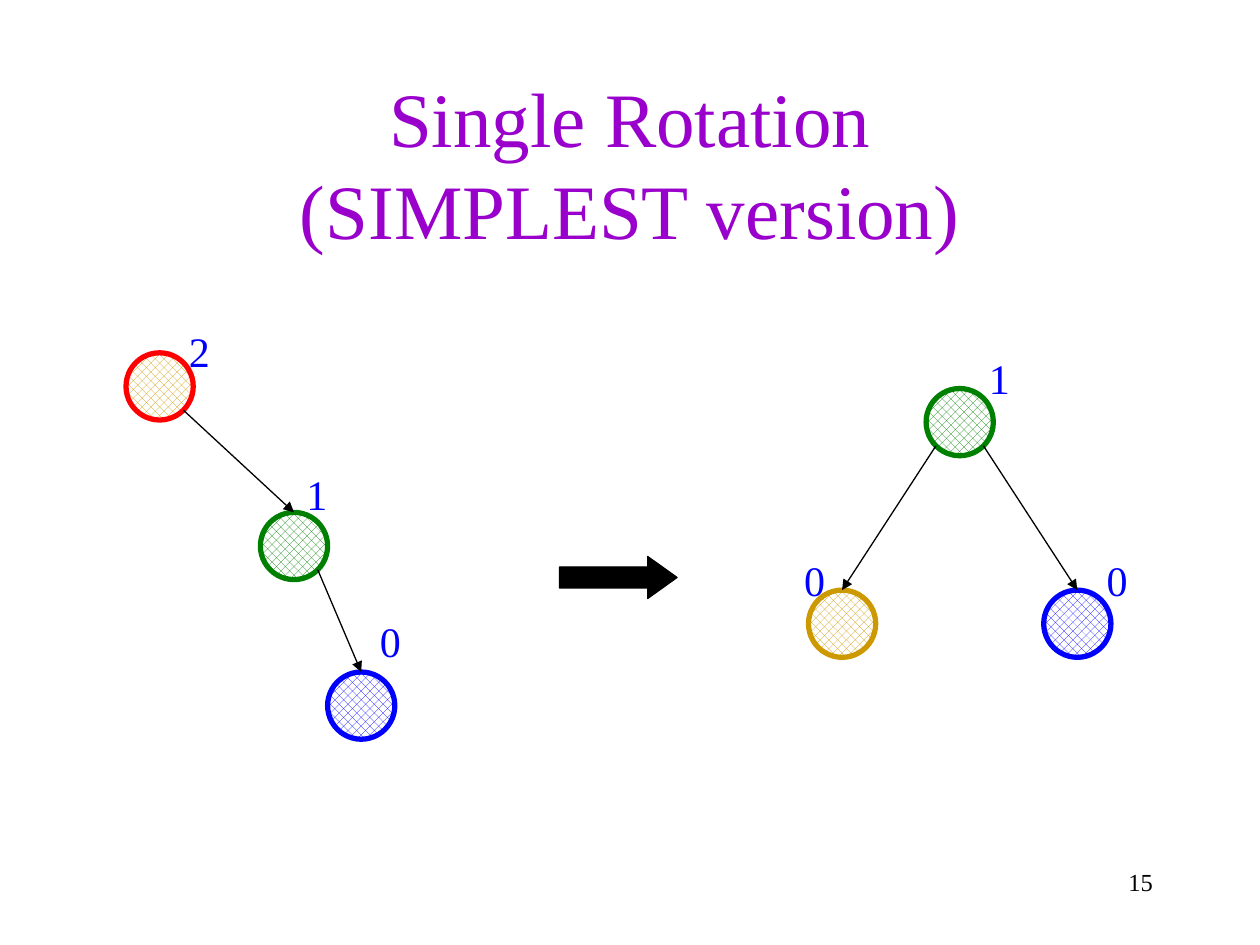
from math import sqrt

from pptx import Presentation
from pptx.dml.color import RGBColor
from pptx.enum.dml import MSO_PATTERN
from pptx.enum.shapes import MSO_CONNECTOR, MSO_SHAPE
from pptx.enum.text import MSO_ANCHOR, MSO_AUTO_SIZE, PP_ALIGN
from pptx.oxml.ns import qn
from pptx.util import Pt

PURPLE = RGBColor(0x99, 0x00, 0xCC)
BLUE = RGBColor(0x00, 0x00, 0xFF)
GREEN = RGBColor(0x00, 0x80, 0x00)
GOLD = RGBColor(0xCC, 0x99, 0x00)
RED = RGBColor(0xFF, 0x00, 0x00)
BLACK = RGBColor(0x00, 0x00, 0x00)
WHITE = RGBColor(0xFF, 0xFF, 0xFF)

FONT = "Times New Roman"
NODE_SIZE = 38.4

UNBALANCED_NODES = [
    (72, 201.6, GOLD, RED),
    (148.8, 292.8, GREEN, GREEN),
    (187.2, 384, BLUE, BLUE),
]
UNBALANCED_EDGES = [(0, 1), (1, 2)]
UNBALANCED_HEIGHTS = [("2", 100.8, 182.4), ("1", 168, 264), ("0", 210, 348.4)]

BALANCED_NODES = [
    (529.2, 222, GREEN, GREEN),
    (462, 337.2, GOLD, GOLD),
    (596.4, 337.2, BLUE, BLUE),
]
BALANCED_EDGES = [(0, 1), (0, 2)]
BALANCED_HEIGHTS = [("1", 558, 198), ("0", 452.4, 313.2), ("0", 625.2, 313.2)]


def write_text(frame, text, size, color, align=PP_ALIGN.LEFT,
               anchor=MSO_ANCHOR.TOP, wrap=True, fit=MSO_AUTO_SIZE.NONE):
    frame.text = text
    frame.word_wrap = wrap
    frame.auto_size = fit
    frame.vertical_anchor = anchor
    paragraph = frame.paragraphs[0]
    paragraph.alignment = align
    for run in paragraph.runs:
        run.font.name = FONT
        run.font.size = Pt(size)
        run.font.color.rgb = color


def add_title(slide, text):
    title = slide.shapes.title
    title.left, title.top = Pt(54), Pt(48)
    title.width, title.height = Pt(612), Pt(90)
    write_text(title.text_frame, text, size=44, color=PURPLE,
               align=PP_ALIGN.CENTER, anchor=MSO_ANCHOR.MIDDLE)


def add_node(shapes, left, top, hatch, outline):
    node = shapes.add_shape(MSO_SHAPE.OVAL, Pt(left), Pt(top),
                            Pt(NODE_SIZE), Pt(NODE_SIZE))
    node.shadow.inherit = False
    node.fill.patterned()
    node.fill.pattern = MSO_PATTERN.PERCENT_50
    node.fill.fore_color.rgb = hatch
    node.fill.back_color.rgb = WHITE
    node.line.color.rgb = outline
    node.line.width = Pt(3)
    return node


def add_edge(shapes, parent, child):
    reach = Pt(NODE_SIZE / 2 / sqrt(2))
    side = 1 if child.left > parent.left else -1
    start_x = parent.left + parent.width // 2 + side * reach
    start_y = parent.top + parent.height // 2 + reach
    edge = shapes.add_connector(MSO_CONNECTOR.STRAIGHT, start_x, start_y,
                                child.left + child.width // 2, child.top)
    edge.end_connect(child, 0)
    edge.line.color.rgb = BLACK
    edge.line.width = Pt(0.75)
    edge.line._get_or_add_ln().makeelement
    properties = edge._element.spPr
    line = properties.find(qn("a:ln"))
    line.append(line.makeelement(qn("a:tailEnd"), {"type": "triangle"}))
    properties.append(properties.makeelement(qn("a:effectLst"), {}))


def add_height(shapes, text, left, top):
    label = shapes.add_textbox(Pt(left), Pt(top), Pt(26.4), Pt(36))
    write_text(label.text_frame, text, size=24, color=BLUE, wrap=False,
               fit=MSO_AUTO_SIZE.SHAPE_TO_FIT_TEXT)


def add_tree(shapes, nodes, edges, heights):
    circles = [add_node(shapes, *node) for node in nodes]
    for parent, child in edges:
        add_edge(shapes, circles[parent], circles[child])
    for height in heights:
        add_height(shapes, *height)


def add_rotation_arrow(slide):
    arrow = slide.shapes.add_shape(MSO_SHAPE.RIGHT_ARROW, Pt(319.7), Pt(318),
                                   Pt(67.2), Pt(24))
    arrow.adjustments[0] = 0.5
    arrow.adjustments[1] = 0.7
    arrow.shadow.inherit = False
    arrow.fill.solid()
    arrow.fill.fore_color.rgb = BLACK
    arrow.line.color.rgb = BLACK
    arrow.line.width = Pt(0.75)


def add_page_number(slide, text):
    number = slide.shapes.add_textbox(Pt(516), Pt(492), Pt(150), Pt(36))
    write_text(number.text_frame, text, size=14, color=BLACK,
               align=PP_ALIGN.RIGHT)


def main():
    presentation = Presentation()
    presentation.slide_width, presentation.slide_height = Pt(720), Pt(540)
    slide = presentation.slides.add_slide(presentation.slide_layouts[5])
    add_title(slide, "Single Rotation\v(SIMPLEST version)")
    add_tree(slide.shapes, UNBALANCED_NODES, UNBALANCED_EDGES,
             UNBALANCED_HEIGHTS)
    balanced = slide.shapes.add_group_shape()
    add_tree(balanced.shapes, BALANCED_NODES, BALANCED_EDGES, BALANCED_HEIGHTS)
    add_rotation_arrow(slide)
    add_page_number(slide, "15")
    presentation.save("out.pptx")


if __name__ == "__main__":
    main()
